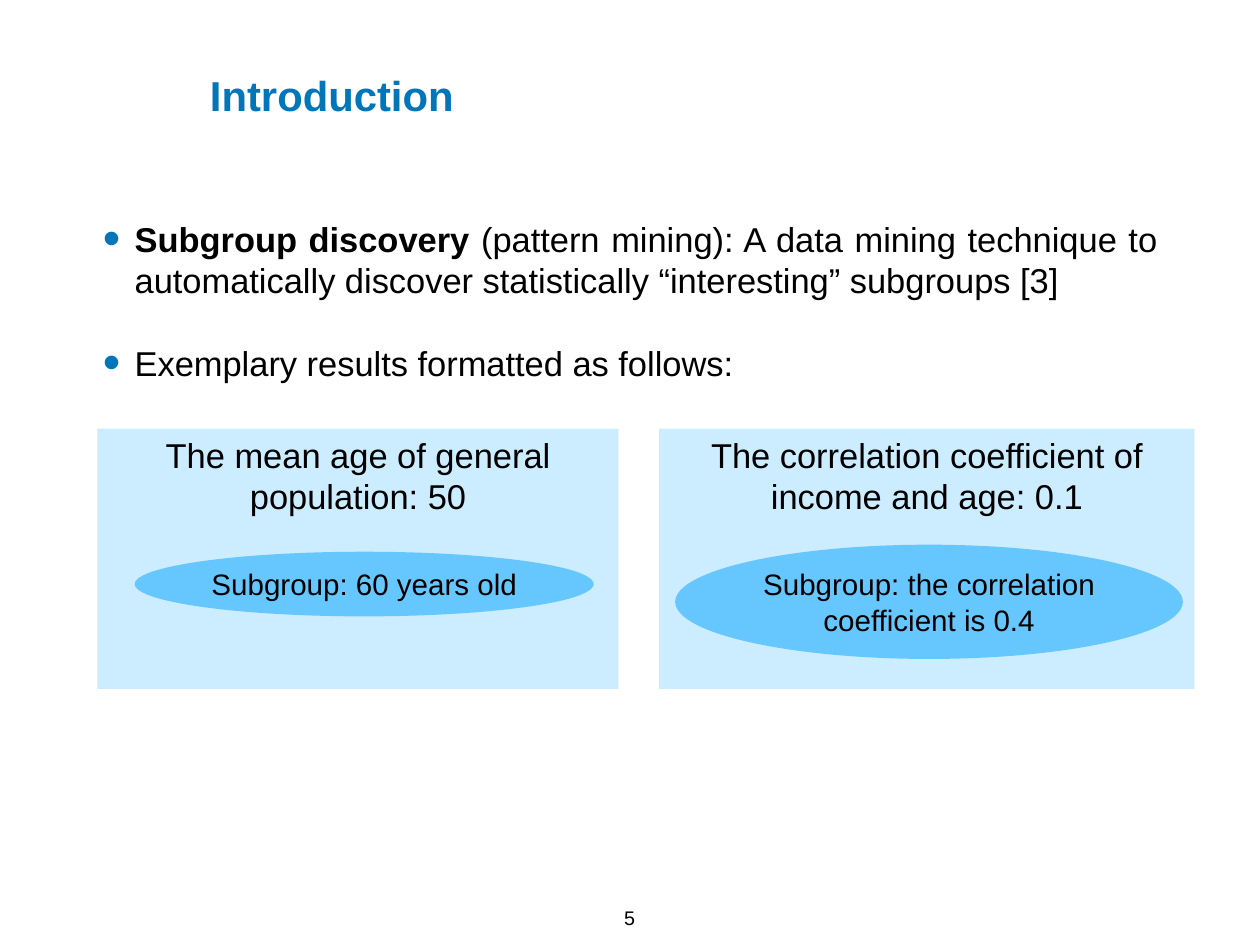
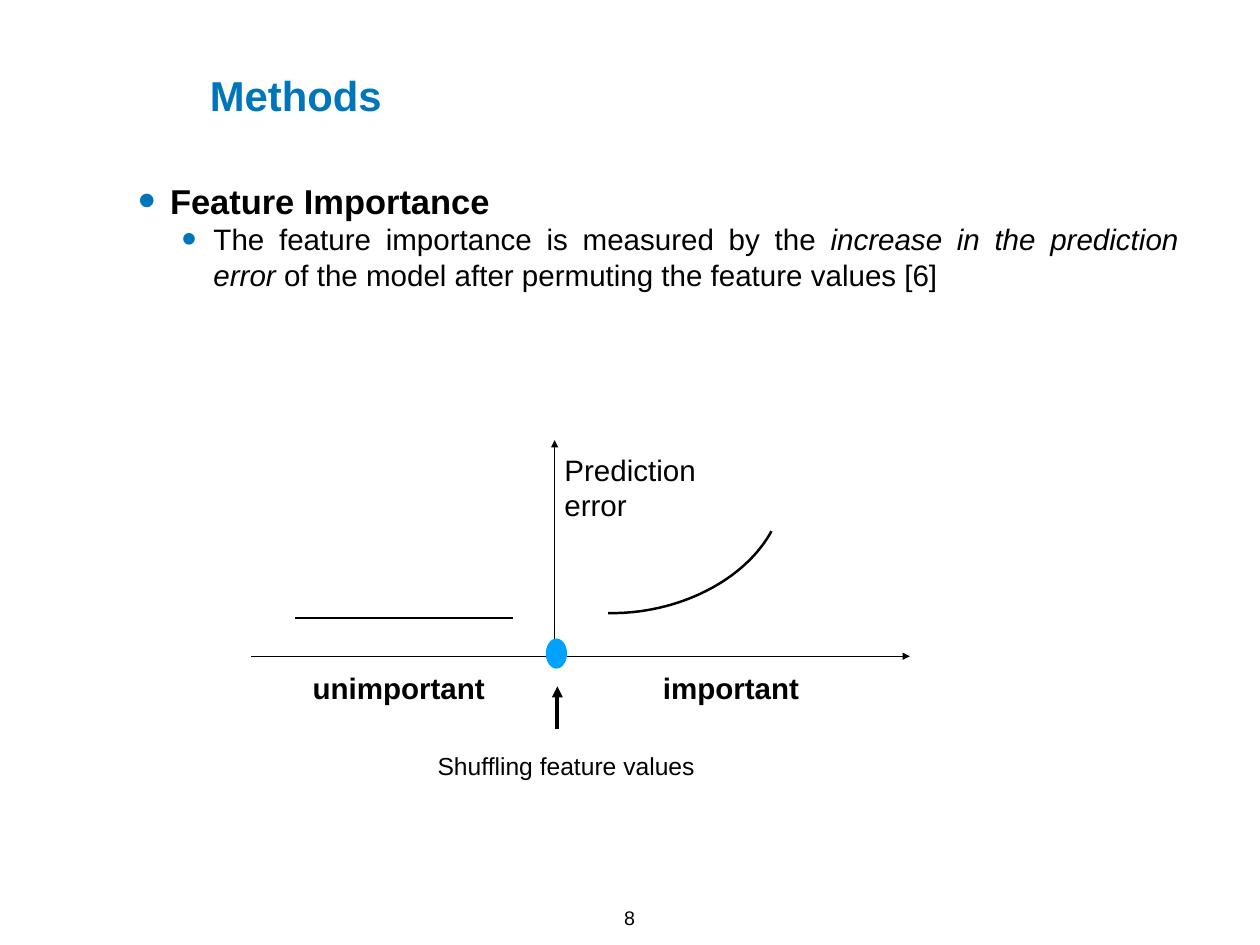
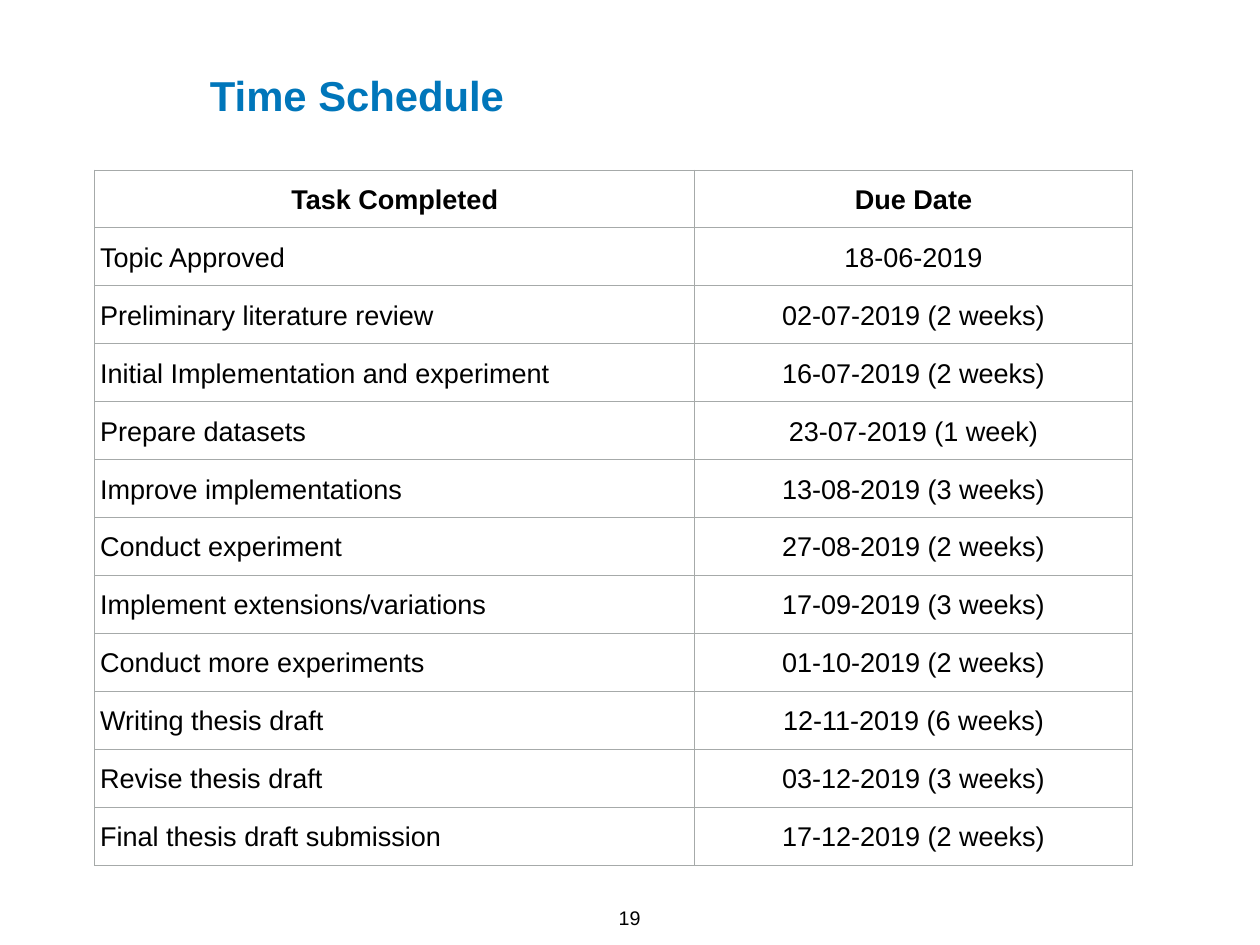
from pptx import Presentation
from pptx.dml.color import RGBColor
from pptx.enum.shapes import MSO_CONNECTOR, MSO_SHAPE
from pptx.enum.text import MSO_ANCHOR, MSO_AUTO_SIZE, PP_ALIGN
from pptx.oxml.ns import qn
from pptx.util import Pt
from lxml import etree

LEFT, MID, JUST = PP_ALIGN.LEFT, PP_ALIGN.CENTER, PP_ALIGN.JUSTIFY
TOP, CENTER = MSO_ANCHOR.TOP, MSO_ANCHOR.MIDDLE
RECT, OVAL = MSO_SHAPE.RECTANGLE, MSO_SHAPE.OVAL
NODE, ARC = MSO_SHAPE.FLOWCHART_CONNECTOR, MSO_SHAPE.ARC
STRAIGHT = MSO_CONNECTOR.STRAIGHT
FIXED = MSO_AUTO_SIZE.NONE

# Shared style: 100 px to the inch
SCALE = 9144
FONT = "Arial"
BLUE, BLACK, WHITE, GREY = "0076BA", "000000", "FFFFFF", "A6AAA9"
PALE, SKY, DOT = "CCECFF", "66C7FF", "00A2FF"
INSET = 6
LEADING = 1.2


def px(n):
    return int(n * SCALE)


def color(code):
    return RGBColor.from_string(code)


def add(parent, tag, **attrs):
    node = etree.SubElement(parent, qn(tag))
    for key, value in attrs.items():
        node.set(key, str(value))
    return node


class Deck:
    def __init__(self, wide, high):
        self.prs = Presentation()
        self.prs.slide_width, self.prs.slide_height = px(wide), px(high)
        self.slide = None

    def page(self, title, number):
        """Start a slide with its title and page number."""
        self.slide = self.prs.slides.add_slide(self.prs.slide_layouts[5])
        head = self.slide.shapes.title
        head.left, head.top, head.width, head.height = map(px, (231, 74, 900, 67))
        self.put(head.text_frame, [title], 34, tone=BLUE, bold=True)
        self.text((650, 1017, 121, 35), [str(number)], 16, align=MID, anchor=TOP)

    def frame(self, frame, anchor):
        frame.word_wrap = True
        frame.auto_size = FIXED
        frame.vertical_anchor = anchor
        frame.margin_left = frame.margin_right = px(INSET)
        frame.margin_top = frame.margin_bottom = px(INSET)

    def style(self, para, size, align=LEFT, tone=BLACK, bold=False):
        para.alignment = align
        para.line_spacing = Pt(size * LEADING)
        font = para.font
        font.name, font.size, font.bold = FONT, Pt(size), bold
        font.color.rgb = color(tone)

    def put(self, frame, lines, size, anchor=CENTER, **look):
        self.frame(frame, anchor)
        for i, line in enumerate(lines):
            para = frame.add_paragraph() if i else frame.paragraphs[0]
            para.text = line
            self.style(para, size, **look)

    def text(self, box, lines, size, **look):
        area = self.slide.shapes.add_textbox(*map(px, box))
        self.put(area.text_frame, lines, size, **look)

    def bullets(self, box, items):
        """Each item: size, indent, space before, alignment, (text, mark) runs."""
        frame = self.slide.shapes.add_textbox(*map(px, box)).text_frame
        self.frame(frame, TOP)
        for i, (size, indent, gap, align, runs) in enumerate(items):
            para = frame.add_paragraph() if i else frame.paragraphs[0]
            props = para._p.get_or_add_pPr()
            props.set("marL", str(px(indent)))
            props.set("indent", str(px(-36)))
            add(add(props, "a:buClr"), "a:srgbClr", val=BLUE)
            add(props, "a:buSzPct", val=145000)
            add(props, "a:buFont", typeface=FONT)
            add(props, "a:buChar", char="•")
            para.space_before = Pt(gap)
            self.style(para, size, align)
            for words, mark in runs:
                run = para.add_run()
                run.text = words
                if mark == "b":
                    run.font.bold = True
                elif mark == "i":
                    run.font.italic = True

    def shape(self, kind, box, fill=None):
        item = self.slide.shapes.add_shape(kind, *map(px, box))
        item.shadow.inherit = False
        if fill:
            item.fill.solid()
            item.fill.fore_color.rgb = color(fill)
            item.line.fill.background()
        else:
            item.fill.background()
        return item

    def label(self, kind, box, fill, words, size, anchor=CENTER):
        item = self.shape(kind, box, fill)
        self.put(item.text_frame, [words], size, anchor=anchor, align=MID)

    def arc(self, box, turn, ends, width):
        item = self.shape(ARC, box)
        item.rotation = turn
        item.adjustments[0], item.adjustments[1] = ends
        item.line.color.rgb = color(BLACK)
        item.line.width = Pt(width)

    def line(self, ends, width, arrow=False):
        item = self.slide.shapes.add_connector(STRAIGHT, *map(px, ends))
        item.line.color.rgb = color(BLACK)
        item.line.width = Pt(width)
        props = item._element.spPr
        if arrow:
            add(props.get_or_add_ln(), "a:tailEnd", type="triangle")
        add(props, "a:effectLst")

    def table(self, left, top, high, widths, rows, size):
        box = (left, top, sum(widths), high)
        grid = self.slide.shapes.add_table(len(rows), len(widths), *map(px, box)).table
        grid.first_row = grid.horz_banding = False
        for col, wide in zip(grid.columns, widths):
            col.width = px(wide)
        for r, row in enumerate(rows):
            for c, words in enumerate(row):
                self.cell(grid.cell(r, c), words, size, r == 0, c > 0)

    def cell(self, cell, words, size, head, date):
        props = cell._tc.get_or_add_tcPr()
        for side in "LRTB":
            edge = add(props, "a:ln" + side, w=Pt(1))
            add(add(edge, "a:solidFill"), "a:srgbClr", val=GREY)
        cell.fill.solid()
        cell.fill.fore_color.rgb = color(WHITE)
        cell.vertical_anchor = CENTER
        cell.margin_left = cell.margin_right = px(INSET)
        cell.margin_top = cell.margin_bottom = px(INSET)
        para = cell.text_frame.paragraphs[0]
        para.text = words
        self.style(para, size, MID if head or date else LEFT, bold=head)


def intro(deck):
    deck.page("Introduction", 5)
    deck.bullets((110, 240, 1202, 200), [
        (28, 36, 0, JUST, [
            ("Subgroup discovery", "b"),
            (" (pattern mining): A data mining technique to automatically "
             "discover statistically “interesting” subgroups [3]", "")]),
        (28, 36, 28 * LEADING, LEFT, [("Exemplary results formatted as follows:", "")]),
    ])
    # Populations, each with its subgroup
    for left, wide, words, oval, sub in (
        (110, 588, "The mean age of general population: 50",
         (152, 623, 518, 73), "Subgroup: 60 years old"),
        (744, 604, "The correlation coefficient of income and age: 0.1",
         (762, 615, 573, 129), "Subgroup: the correlation coefficient is 0.4"),
    ):
        deck.label(RECT, (left, 484, wide, 294), PALE, words, 28, TOP)
        deck.label(OVAL, oval, SKY, sub, 24)


def methods(deck):
    deck.page("Methods", 8)
    deck.bullets((150, 197, 1186, 376), [
        (28, 36, 0, JUST, [("Feature Importance", "b")]),
        (24, 85, 0, JUST, [
            ("The feature importance is measured by the ", ""),
            ("increase in the prediction error", "i"),
            (" of the model after permuting the feature values [6]", "")]),
    ])
    # Curve, axes and pointer
    deck.arc((584, 389, 253, 350), 79.8, (175.67, 12.53), 2)
    deck.line((283, 741, 1027, 741), 0.75, arrow=True)
    deck.line((626, 741, 626, 497), 0.75, arrow=True)
    deck.line((629, 823, 629, 775), 3, arrow=True)
    deck.shape(NODE, (616, 721, 24, 34), DOT)
    deck.line((333, 698, 579, 698), 2)
    # Labels
    for left, words in ((290, "unimportant"), (665, "important")):
        deck.text((left, 751, 320, 52), [words], 24, align=MID, bold=True)
    deck.text((479, 842, 320, 45), ["Shuffling feature values"], 20, align=MID)
    deck.text((631, 504, 229, 92), ["Prediction", "error"], 24)


def schedule(deck):
    deck.page("Time Schedule", 19)
    deck.table(107, 192, 785, (677, 494), [
        ("Task Completed", "Due Date"),
        ("Topic Approved", "18-06-2019"),
        ("Preliminary literature review", "02-07-2019 (2 weeks)"),
        ("Initial Implementation and experiment", "16-07-2019 (2 weeks)"),
        ("Prepare datasets", "23-07-2019 (1 week)"),
        ("Improve implementations", "13-08-2019 (3 weeks)"),
        ("Conduct experiment", "27-08-2019 (2 weeks)"),
        ("Implement extensions/variations", "17-09-2019 (3 weeks)"),
        ("Conduct more experiments", "01-10-2019 (2 weeks)"),
        ("Writing thesis draft", "12-11-2019 (6 weeks)"),
        ("Revise thesis draft", "03-12-2019 (3 weeks)"),
        ("Final thesis draft submission", "17-12-2019 (2 weeks)"),
    ], 22)


def main():
    deck = Deck(1422, 1067)
    for build in (intro, methods, schedule):
        build(deck)
    deck.prs.save("out.pptx")


if __name__ == "__main__":
    main()
